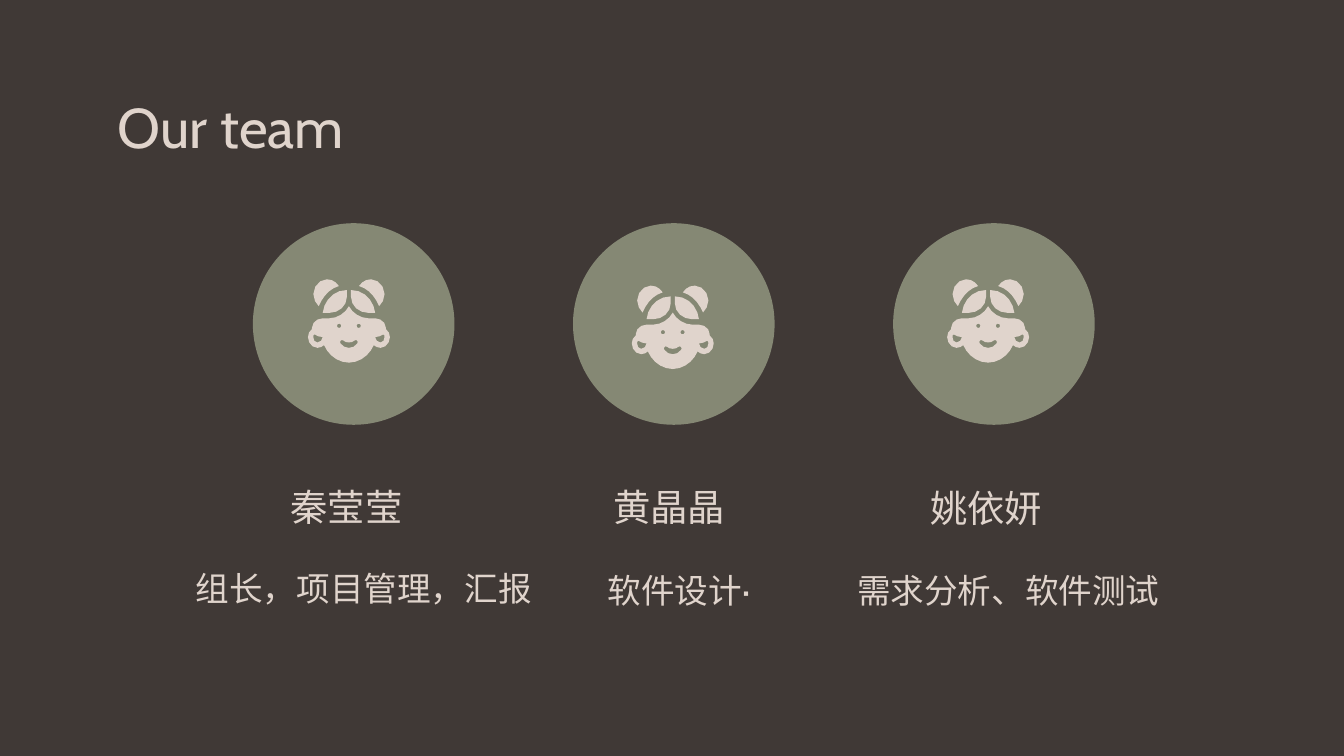
import math
from dataclasses import dataclass

from lxml import etree
from pptx import Presentation
from pptx import util as u
from pptx.dml.color import RGBColor
from pptx.enum import shapes, text
from pptx.oxml.ns import qn


@dataclass(frozen=True)
class Theme:
    background: RGBColor = RGBColor.from_string("403936")
    light: RGBColor = RGBColor.from_string("E0D4CC")
    green: RGBColor = RGBColor.from_string("858874")
    latin: str = "Cabin"
    chinese: str = "Noto Sans CJK SC"
    title: int = 30
    name: int = 20
    role: int = 18


THEME = Theme()
ICON_UNIT = u.Cm(2.54) / 100
ICON_AXIS = 30.5

BUN = [(14, 0), (9, 0, 4, 5, 4, 11), (4, 15, 6, 18, 8, 20),
       (11, 13, 16, 7, 23, 5), (21, 2, 18, 0, 14, 0)]
FRINGE = [(29, 8), (19, 8, 12, 16, 11, 25), (16, 25),
          (23, 25, 29, 20, 29, 13)]
HALF_FACE = [(30.5, 20), (28, 25, 22, 29, 16, 29), (11, 29),
             (7, 29, 3, 32, 3, 36), (3, 37), (1, 38, 0, 41, 0, 43),
             (0, 47, 3, 51, 7, 51), (9, 51, 11, 50, 12, 49),
             (15, 56, 22, 62, 30.5, 62)]
HALF_MOUTH = [(30.5, 47), (28.5, 47, 27.5, 46.5, 26.5, 45.6),
              (25.5, 45, 25, 45, 24.5, 45.5),
              (23.7, 46, 23.7, 47, 24.3, 47.8), (26, 50, 28, 51, 30.5, 51)]
EAR = [(5, 41), (6, 42, 9, 43, 11, 43), (11, 45, 9, 47, 7, 47),
       (5, 47, 4, 45, 4, 43), (4, 42, 4, 41, 5, 41)]

MEMBERS = [
    dict(name="秦莹莹", role="组长，项目管理，汇报", icon=(5.82, 5.28),
         name_box=(3.4, 8.97, 6.3, 1.27), role_box=(3.07, 10.49, 7.26, 1.7),
         hanging=True),
    dict(name="黄晶晶", role="软件设计·", icon=(11.94, 5.4),
         name_box=(9.5, 8.97, 6.3, 1.27), role_box=(9.68, 10.52, 6.3, 1.7),
         hanging=False),
    dict(name="姚依妍", role="需求分析、软件测试", icon=(17.9, 5.28),
         name_box=(15.49, 8.99, 6.3, 1.27), role_box=(15.57, 10.52, 6.62, 1.7),
         hanging=True),
]


def trace(segments):
    points = [segments[0]]
    for segment in segments[1:]:
        if len(segment) == 2:
            points.append(segment)
            continue
        controls = [points[-1], segment[:2], segment[2:4], segment[4:]]
        steps = max(2, math.ceil(math.dist(controls[0], controls[3]) / 5))
        for step in range(1, steps + 1):
            t = step / steps
            weights = ((1 - t) ** 3, 3 * t * (1 - t) ** 2,
                       3 * t * t * (1 - t), t ** 3)
            points.append(tuple(
                sum(w * c[axis] for w, c in zip(weights, controls))
                for axis in (0, 1)))
    return points


def mirror(points):
    return [(2 * ICON_AXIS - x, y) for x, y in reversed(points)]


def symmetric(half):
    points = trace(half)
    return points + mirror(points)[1:]


def circle(x, y, radius, count=8):
    angles = [2 * math.pi * i / count for i in range(count)]
    return [(x + radius * math.cos(a), y + radius * math.sin(a))
            for a in angles]


def paint(shape, color):
    shape.shadow.inherit = False
    shape.fill.solid()
    shape.fill.fore_color.rgb = color
    shape.line.fill.background()


def add_icon(slide, left, top):
    group = slide.shapes.add_group_shape()
    bun, fringe, ear = trace(BUN), trace(FRINGE), trace(EAR)
    eye = circle(23.2, 34.6, 1.6)
    face = [symmetric(HALF_FACE), symmetric(HALF_MOUTH),
            eye, mirror(eye), ear, mirror(ear)]
    parts = [[mirror(bun)], [bun], [mirror(fringe)], [fringe], face]
    for contours in parts:
        placed = [[(u.Cm(left) + x * ICON_UNIT, u.Cm(top) + y * ICON_UNIT)
                   for x, y in contour] for contour in contours]
        builder = group.shapes.build_freeform(*placed[0][0])
        builder.add_line_segments(placed[0][1:])
        for hole in placed[1:]:
            builder.move_to(*hole[0])
            builder.add_line_segments(hole[1:])
        paint(builder.convert_to_shape(), THEME.light)


def add_text(slide, box, words, size, align=text.PP_ALIGN.LEFT,
             anchor=text.MSO_ANCHOR.TOP, font=THEME.latin, hanging=False):
    frame = slide.shapes.add_textbox(*map(u.Cm, box)).text_frame
    frame.word_wrap = True
    frame.vertical_anchor = anchor
    frame.margin_left = frame.margin_right = u.Cm(0.25)
    frame.margin_top = frame.margin_bottom = u.Cm(0.25)
    paragraph = frame.paragraphs[0]
    paragraph.text = words
    paragraph.alignment = align
    properties = paragraph._p.get_or_add_pPr()
    if hanging:
        properties.set("marL", str(u.Cm(1.27)))
        properties.set("indent", str(-u.Cm(0.89)))
    paragraph.font.size = u.Pt(size)
    paragraph.font.name = font
    paragraph.font.color.rgb = THEME.light
    east_asian = etree.Element(qn("a:ea"), typeface=THEME.chinese)
    properties.find(qn("a:defRPr")).find(qn("a:latin")).addnext(east_asian)


def add_member(slide, circle_box, member):
    disc = slide.shapes.add_shape(shapes.MSO_SHAPE.OVAL,
                                  *map(u.Cm, circle_box))
    paint(disc, THEME.green)
    add_icon(slide, *member["icon"])
    add_text(slide, member["name_box"], member["name"], THEME.name,
             text.PP_ALIGN.CENTER, text.MSO_ANCHOR.BOTTOM)
    hanging = member["hanging"]
    add_text(slide, member["role_box"], member["role"], THEME.role,
             text.PP_ALIGN.JUSTIFY if hanging else text.PP_ALIGN.CENTER,
             font=THEME.chinese if hanging else THEME.latin, hanging=hanging)


def add_team(slide, left, top, diameter, pitch):
    for index, member in enumerate(MEMBERS):
        add_member(slide, (left + index * pitch, top, diameter, diameter),
                   member)


def main():
    presentation = Presentation()
    presentation.slide_width = u.Cm(25.4)
    presentation.slide_height = u.Cm(14.29)
    slide = presentation.slides.add_slide(presentation.slide_layouts[6])
    slide.background.fill.solid()
    slide.background.fill.fore_color.rgb = THEME.background
    add_text(slide, (1.98, 1.5, 21.44, 1.78), "Our team", THEME.title)
    add_team(slide, left=4.78, top=4.22, diameter=3.81, pitch=6.05)
    presentation.save("out.pptx")


if __name__ == "__main__":
    main()
